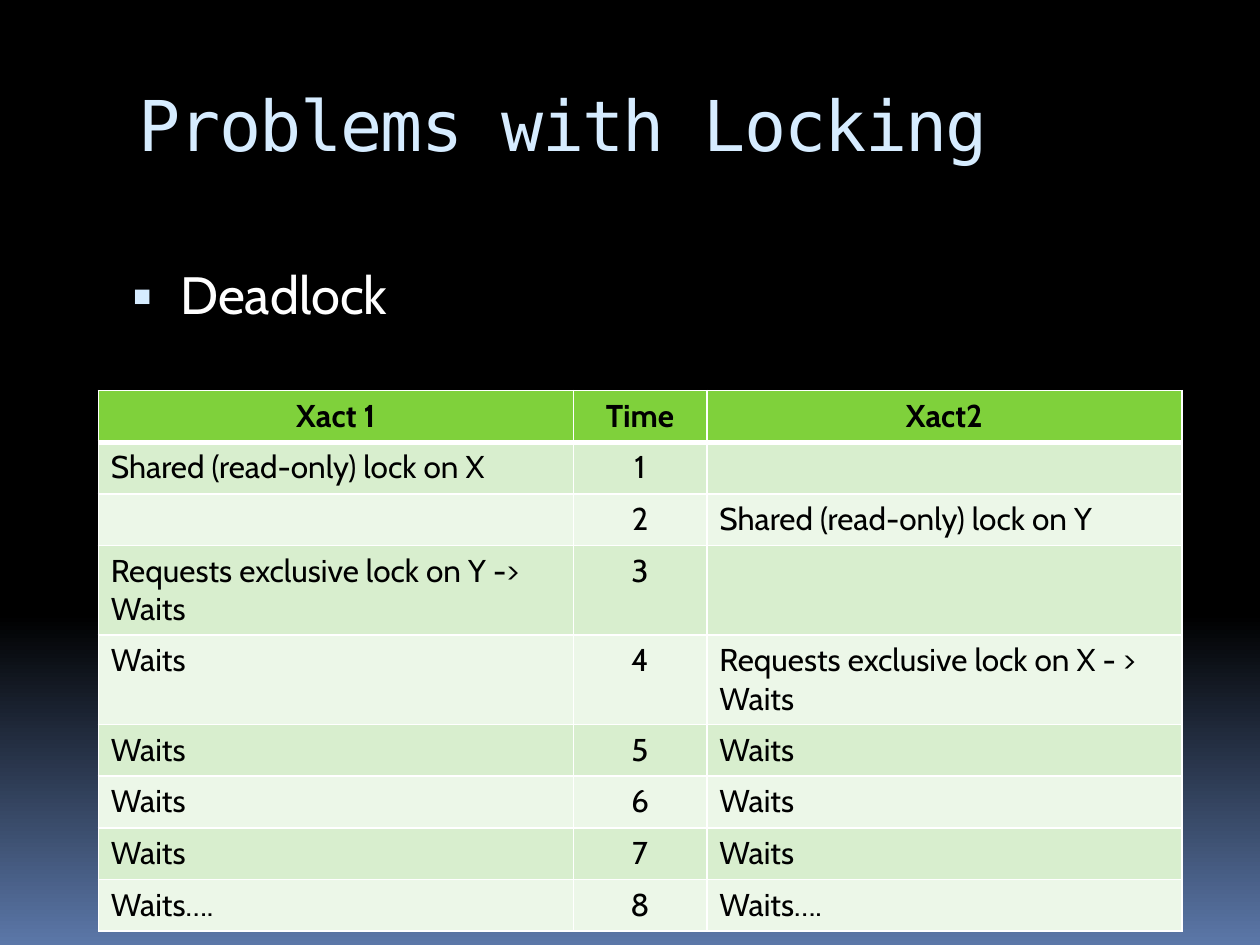
from copy import deepcopy
from dataclasses import dataclass

from lxml.etree import SubElement as Sub
from pptx import Presentation
from pptx.dml.color import RGBColor as RGB
from pptx.enum.text import MSO_ANCHOR as Anchor, MSO_AUTO_SIZE as Auto, PP_ALIGN as Align
from pptx.oxml.ns import qn
from pptx.util import Inches, Pt


@dataclass(frozen=True)
class Theme:
    black: str = "000000"
    white: str = "FFFFFF"
    glow: str = "5B77A8"
    pale: str = "D6ECFF"
    head: str = "7FD13B"
    odd: str = "D8EECE"
    even: str = "ECF7E8"
    mono: str = "DejaVu Sans Mono"
    sans: str = "Cabin"
    title: int = 40
    list: int = 30
    cell: int = 18


theme = Theme()


def write(frame, text, *, size, color, font=theme.sans, bold=False, align=Align.LEFT):
    para = frame.paragraphs[0]
    para.alignment = align
    run = para.add_run()
    run.text = text
    run.font.name = font
    run.font.size = Pt(size)
    run.font.bold = bold
    run.font.color.rgb = RGB.from_string(color)
    return para, run


def edge(cell, side, width):
    line = Sub(cell._tc.get_or_add_tcPr(), qn(f"a:ln{side}"), w=str(Pt(width)))
    fill = Sub(line, qn("a:solidFill"))
    Sub(fill, qn("a:srgbClr"), val=theme.white)


deck = Presentation()
deck.slide_width, deck.slide_height = Inches(10), Inches(7.5)
slide = deck.slides.add_slide(deck.slide_layouts[1])

back = slide.background.fill
back.gradient()
back.gradient_angle = 270
stops = slide._element.find(".//" + qn("a:gsLst"))
stops.append(deepcopy(stops[-1]))
shades = [(0, theme.black), (0.65, theme.black), (1, theme.glow)]
for stop, (place, color) in zip(back.gradient_stops, shades):
    stop.position = place
    stop.color.rgb = RGB.from_string(color)

title, body = slide.placeholders
boxes = [(title, (1, 0.56, 8.5, 1)), (body, (0.88, 2.03, 8.5, 5))]
for box, area in boxes:
    box.left, box.top, box.width, box.height = map(Inches, area)
    box.text_frame.auto_size = Auto.NONE
    box.text_frame.vertical_anchor = Anchor.TOP
title.text_frame.margin_top = Inches(0.09)

para, run = write(title.text_frame, "Problems with Locking", size=theme.title,
                  color=theme.pale, font=theme.mono)
run.font._element.set("spc", "-100")

para, run = write(body.text_frame, "Deadlock", size=theme.list, color=theme.white)
para.space_before = Pt(0)
props = para._p.get_or_add_pPr()
props.set("marL", str(Inches(0.45)))
props.set("indent", str(Inches(-0.38)))
Sub(Sub(props, qn("a:buClr")), qn("a:srgbClr"), val=theme.pale)
Sub(props, qn("a:buSzPct"), val="95000")
Sub(props, qn("a:buFont"), typeface=theme.sans)
Sub(props, qn("a:buChar"), char="▪")

rows = [
    ("Xact 1", "Time", "Xact2"),
    ("Shared (read-only) lock on X", "1", ""),
    ("", "2", "Shared (read-only) lock on Y"),
    ("Requests exclusive lock on Y -> Waits", "3", ""),
    ("Waits", "4", "Requests exclusive lock on X - > Waits"),
    ("Waits", "5", "Waits"),
    ("Waits", "6", "Waits"),
    ("Waits", "7", "Waits"),
    ("Waits….", "8", "Waits…."),
]
high = 0.41
grid = slide.shapes.add_table(len(rows), 3, Inches(0.78), Inches(3.1),
                              Inches(8.6), Inches(high * len(rows))).table
grid.horz_banding = False
for col, wide in zip(grid.columns, (3.77, 1.06, 3.77)):
    col.width = Inches(wide)

for r, texts in enumerate(rows):
    grid.rows[r].height = Inches(high)
    tint = theme.head if r == 0 else theme.odd if r % 2 else theme.even
    for c, text in enumerate(texts):
        cell = grid.cell(r, c)
        for side in "LRTB":
            thick = (r, side) in ((0, "B"), (1, "T"))
            edge(cell, side, 3 if thick else 1)
        cell.fill.solid()
        cell.fill.fore_color.rgb = RGB.from_string(tint)
        if text:
            mid = r == 0 or c == 1
            write(cell.text_frame, text, size=theme.cell, color=theme.black,
                  bold=r == 0, align=Align.CENTER if mid else Align.LEFT)

slide.shapes._spTree.append(body._element)
deck.save("out.pptx")
